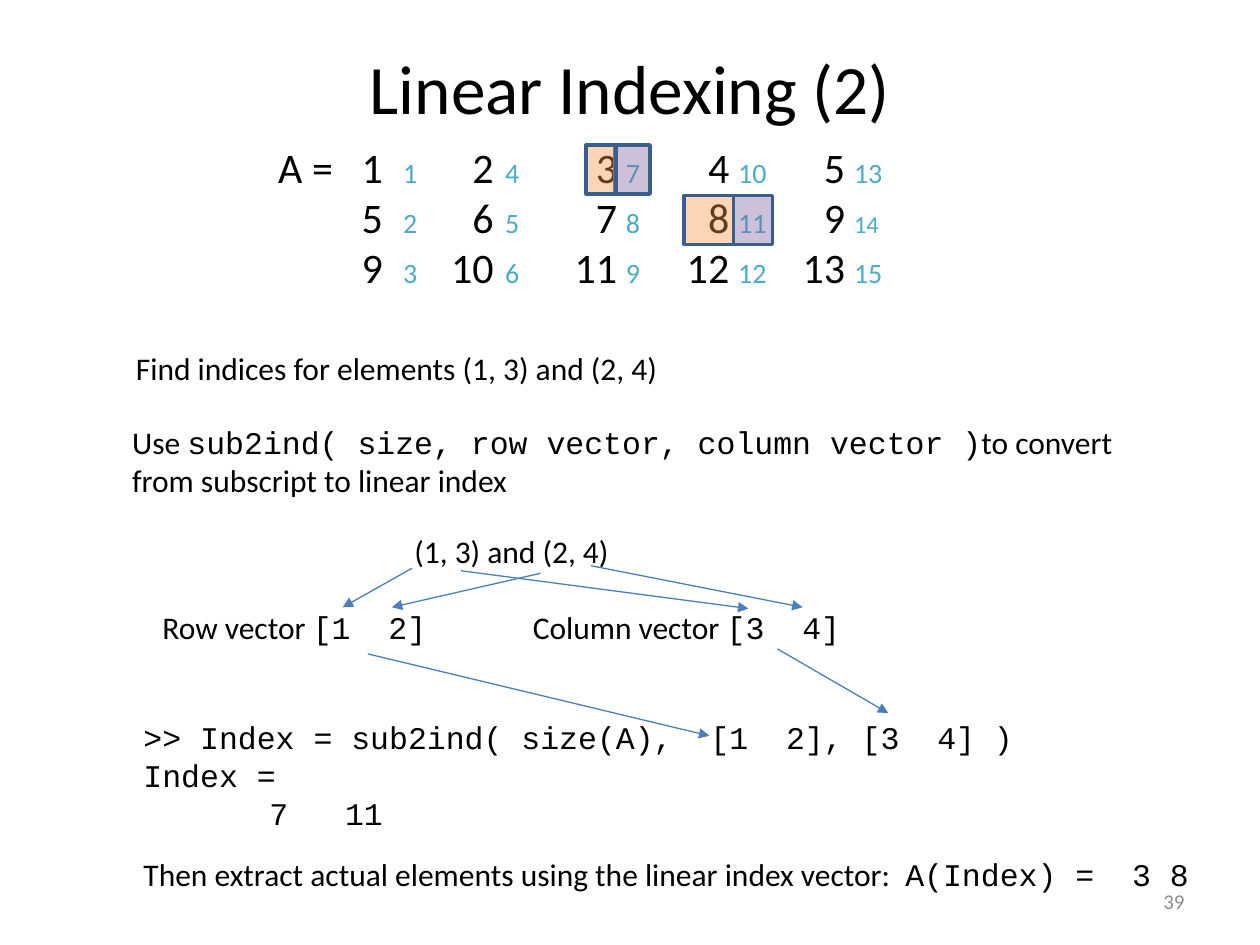
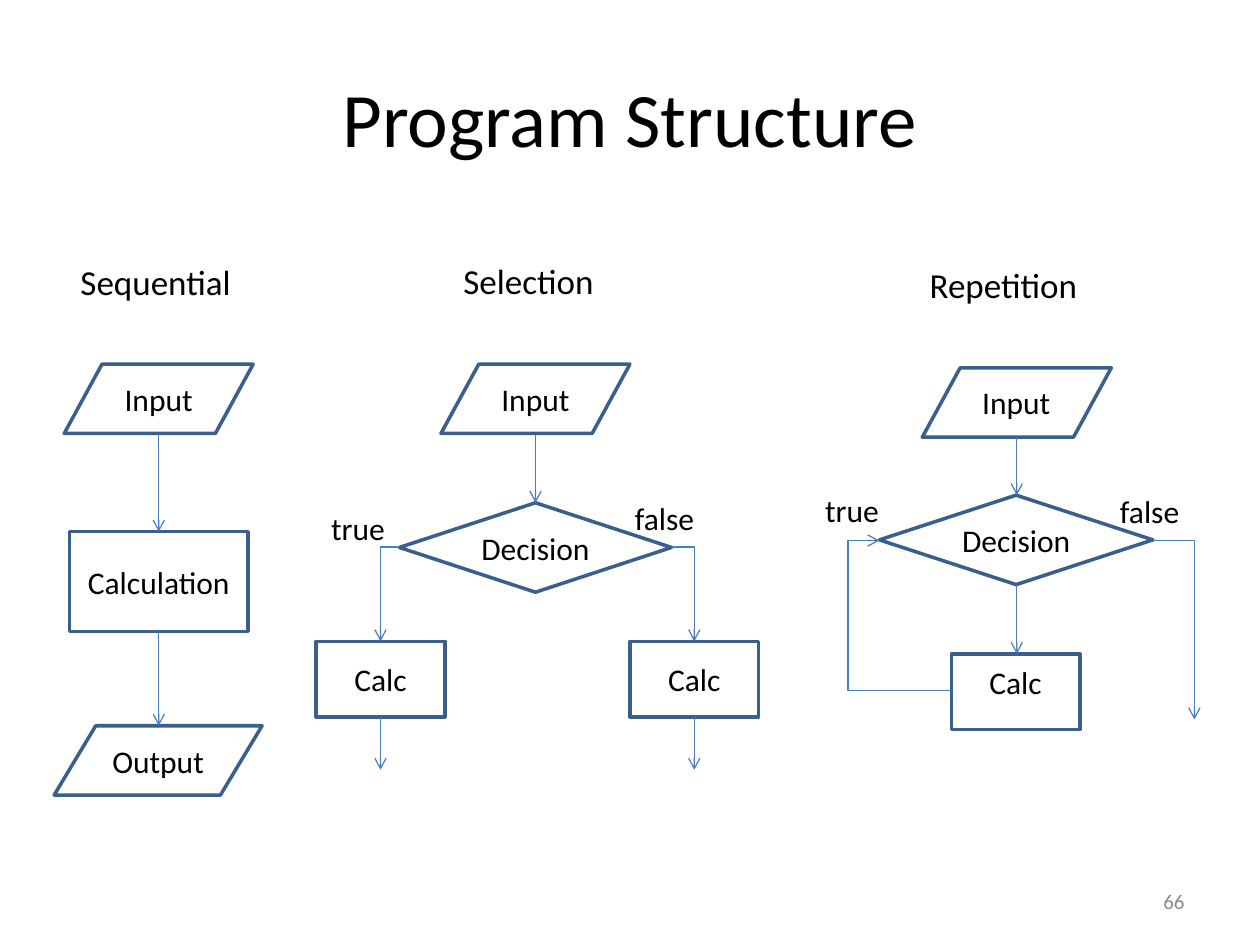
from lxml.etree import SubElement
from pptx import Presentation
from pptx.dml.color import RGBColor
from pptx.enum.shapes import MSO_CONNECTOR as Link, MSO_SHAPE as Kind
from pptx.enum.text import MSO_ANCHOR as Anchor, PP_ALIGN as Align
from pptx.oxml.ns import qn
from pptx.util import Inches, Pt

BLACK, GRAY, TEAL = "000000", "8C8C8C", "4BACC6"
EDGE, WIRE = "3A5F8C", "4B7EBC"
ORANGE, PURPLE = "F79646", "8064A2"
SANS, MONO = "Calibri", "Courier New"


def color(code):
    return RGBColor.from_string(code)


class Deck:
    def __init__(self):
        self.prs = Presentation()
        self.prs.slide_width = Inches(10)
        self.prs.slide_height = Inches(7.5)
        self.slide = None

    def start(self, title, number, height, size):
        self.slide = self.prs.slides.add_slide(self.prs.slide_layouts[5])
        head = self.slide.shapes.title
        head.left, head.top = Inches(0.5), Inches(0.3)
        head.width, head.height = Inches(9), Inches(height)
        head.text_frame.vertical_anchor = Anchor.MIDDLE
        self.fill_text(head.text_frame, [title], size, Align.CENTER)
        self.text(7.17, 6.95, 2.33, 0.4, [number], 12, Align.RIGHT, GRAY, Anchor.MIDDLE)

    def style(self, font, size, tone=BLACK, face=SANS):
        font.size, font.name = Pt(size), face
        font.color.rgb = color(tone)

    def fill_text(self, frame, lines, size=18, align=Align.LEFT, tone=BLACK, face=SANS):
        for i, line in enumerate(lines):
            para = frame.add_paragraph() if i else frame.paragraphs[0]
            para.alignment = align
            self.style(para.font, size, tone, face)
            for part in [line] if isinstance(line, str) else line:
                run = para.add_run()
                if isinstance(part, str):
                    run.text = part
                else:
                    run.text, look = part
                    self.style(run.font, **{"size": size, **look})

    def text(self, x, y, w, h, lines, size=18, align=Align.LEFT, tone=BLACK,
             anchor=Anchor.TOP, face=SANS):
        box = self.slide.shapes.add_textbox(Inches(x), Inches(y), Inches(w), Inches(h))
        frame = box.text_frame
        frame.word_wrap, frame.vertical_anchor = True, anchor
        self.fill_text(frame, lines, size, align, tone, face)
        return frame

    def tabs(self, para, stops):
        props = para._p.get_or_add_pPr()
        tabs = props.makeelement(qn("a:tabLst"))
        props.find(qn("a:defRPr")).addprevious(tabs)
        for pos, side in stops:
            SubElement(tabs, qn("a:tab"), pos=str(Inches(pos)), algn=side)

    def shape(self, kind, x, y, w, h, label="", fill=None):
        item = self.slide.shapes.add_shape(kind, Inches(x), Inches(y), Inches(w), Inches(h))
        item.shadow.inherit = False
        item.line.color.rgb, item.line.width = color(EDGE), Pt(2)
        if fill:
            item.fill.solid()
            item.fill.fore_color.rgb = color(fill)
            tint = item._element.spPr.find(qn("a:solidFill"))[0]
            SubElement(tint, qn("a:alpha"), val="40000")
        else:
            item.fill.background()
        if label:
            item.text_frame.vertical_anchor = Anchor.MIDDLE
            self.fill_text(item.text_frame, [label], align=Align.CENTER)

    def arrow(self, x1, y1, x2, y2, head="arrow", bend=None, bulge=None):
        kind = Link.ELBOW if bend else Link.STRAIGHT
        line = self.slide.shapes.add_connector(
            kind, Inches(x1), Inches(y1), Inches(x2), Inches(y2))
        line.line.color.rgb, line.line.width = color(WIRE), Pt(0.75)
        props = line._element.spPr
        SubElement(props.find(qn("a:ln")), qn("a:tailEnd"), type=head)
        SubElement(props, qn("a:effectLst"))
        if bend:
            geom = props.find(qn("a:prstGeom"))
            geom.set("prst", bend)
            if bulge:
                guides = geom.find(qn("a:avLst"))
                if guides is None:
                    guides = SubElement(geom, qn("a:avLst"))
                SubElement(guides, qn("a:gd"), name="adj1", fmla=f"val {bulge}")


def matrix(deck):
    rows = [[1, 2, 3, 4, 5], [5, 6, 7, 8, 9], [9, 10, 11, 12, 13]]
    stops = [(0.83, "r"), (0.99, "l"), (1.71, "r"), (1.8, "l"), (2.69, "r"),
             (2.76, "l"), (3.58, "r"), (3.65, "l"), (4.5, "r"), (4.57, "l")]
    lines = []
    for r, row in enumerate(rows):
        line = ["A ="] if r == 0 else []
        for c, value in enumerate(row):
            index = c * len(rows) + r + 1
            small = {"size": 14 if index == 14 else 16, "tone": TEAL}
            line += [f"\t{value}\t", (str(index), small)]
        lines.append(line)
    frame = deck.text(2.11, 1.07, 5.79, 1.31, lines, 24)
    for para in frame.paragraphs:
        deck.tabs(para, stops)
    for x, y, w, fill in [(4.88, 1.15, 0.28, PURPLE), (5.82, 1.55, 0.31, PURPLE),
                          (4.65, 1.15, 0.24, ORANGE), (5.43, 1.55, 0.39, ORANGE)]:
        deck.shape(Kind.RECTANGLE, x, y, w, 0.39, fill=fill)


def indexing(deck):
    deck.start("Linear Indexing (2)", "39", 0.77, 39.6)
    matrix(deck)
    code = {"face": MONO}
    deck.text(0.98, 2.72, 8.35, 0.71, ["Find indices for elements (1, 3) and (2, 4)"])
    deck.text(0.95, 3.31, 8.45, 0.71, [[
        "Use ", ("sub2ind( size, row vector, column vector )", code),
        "to convert from subscript to linear index"]])
    pairs = deck.text(1.19, 4.17, 6.91, 1.01, [
        "\t(1, 3) and (2, 4)",
        ["Row vector ", ("[1  2]", code), "\tColumn vector ", ("[3  4]", code)]])
    top, low = pairs.paragraphs
    low.space_before = Pt(22)
    deck.tabs(top, [(2, "l")])
    deck.tabs(low, [(2.94, "l")])
    shell = deck.text(1.04, 5.65, 8.44, 1.01, [
        ">> Index = sub2ind( size(A),  [1  2], [3  4] )", "Index =", "\t7\t11"], face=MONO)
    deck.tabs(shell.paragraphs[2], [(1, "l"), (1.6, "l")])
    deck.text(1.04, 6.74, 8.96, 0.4, [[
        "Then extract actual elements using the linear index vector:  ",
        ("A(Index) =  3 8", code)]])
    for ends in [(3.27, 4.51, 2.72, 4.82), (4.29, 4.55, 3.11, 4.82),
                 (3.66, 4.53, 5.94, 4.83), (4.69, 4.49, 6.37, 4.82),
                 (2.92, 5.19, 5.63, 5.84), (6.17, 5.15, 7.05, 5.66)]:
        deck.arrow(*ends, head="triangle")


def structure(deck):
    deck.start("Program Structure", "66", 1.25, 44)
    for x, y, w, name in [(0.54, 2.02, 1.55, "Sequential"), (3.58, 2.01, 1.34, "Selection"),
                          (7.28, 2.04, 1.57, "Repetition")]:
        deck.text(x, y, w, 0.44, [name], 20)

    data, step, test = Kind.FLOWCHART_DATA, Kind.FLOWCHART_PROCESS, Kind.FLOWCHART_DECISION
    for node in [(data, 0.51, 2.89, 1.5, 0.55, "Input"),
                 (step, 0.55, 4.22, 1.42, 0.79, "Calculation"),
                 (data, 0.43, 5.76, 1.65, 0.55, "Output"),
                 (data, 3.5, 2.89, 1.5, 0.55, "Input"),
                 (test, 3.17, 3.99, 2.16, 0.71, "Decision"),
                 (step, 2.51, 5.09, 1.02, 0.6, "Calc"),
                 (step, 5, 5.09, 1.02, 0.6, "Calc"),
                 (data, 7.32, 2.92, 1.5, 0.55),
                 (test, 6.98, 3.93, 2.17, 0.71, "Decision"),
                 (step, 7.55, 5.19, 1.02, 0.6)]:
        deck.shape(*node)
    for x, y, w, name in [(7.69, 2.99, 0.75, "Input"), (7.75, 5.21, 0.62, "Calc")]:
        deck.text(x, y, w, 0.4, [name], align=Align.CENTER)

    for x, y1, y2 in [(1.26, 3.45, 4.22), (1.26, 5.01, 5.76), (4.25, 3.45, 3.99),
                      (3.02, 5.69, 6.11), (5.51, 5.69, 6.11),
                      (8.07, 3.47, 3.93), (8.07, 4.64, 5.19)]:
        deck.arrow(x, y1, x, y2)
    for ends in [(3.17, 4.34, 3.02, 5.09), (5.33, 4.34, 5.51, 5.09),
                 (9.15, 4.29, 9.48, 5.71)]:
        deck.arrow(*ends, bend="bentConnector2")
    deck.arrow(7.55, 5.48, 6.98, 4.29, bend="bentConnector3", bulge=143800)

    for x, y, w, name in [(2.53, 3.99, 0.66, "true"), (4.94, 3.91, 0.79, "false"),
                          (6.45, 3.85, 0.66, "true"), (8.79, 3.86, 0.79, "false")]:
        deck.text(x, y, w, 0.4, [name])


def main():
    deck = Deck()
    indexing(deck)
    structure(deck)
    deck.prs.save("out.pptx")


if __name__ == "__main__":
    main()
